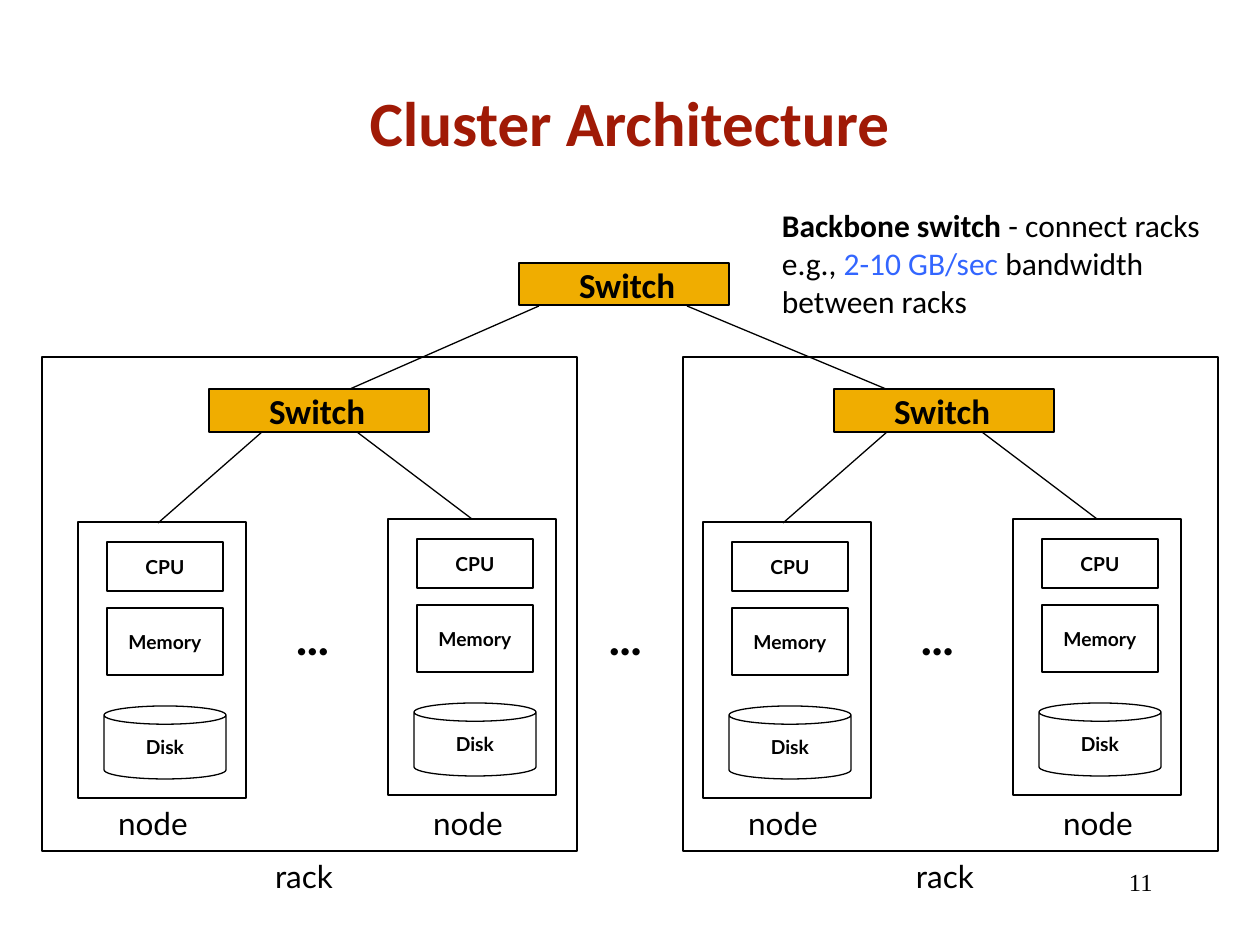
from pptx import Presentation
from pptx.dml.color import RGBColor
from pptx.enum.shapes import MSO_CONNECTOR, MSO_SHAPE
from pptx.enum.text import MSO_ANCHOR as ANCHOR, PP_ALIGN as ALIGN
from pptx.oxml.ns import qn
from pptx.util import Emu, Pt
from lxml.etree import SubElement

# Content
TITLE = "Cluster Architecture"
BACKBONE = [
    [("Backbone switch ", "black", True), ("- connect racks", "black", False)],
    [("e.g., ", "black", False), ("2-10 GB/sec ", "blue", False),
     ("bandwidth between racks", "black", False)],
]
COLORS = {"black": "000000", "red": "A01A06", "blue": "3366FF", "gold": "F0AD00"}
RECT, CAN = MSO_SHAPE.RECTANGLE, MSO_SHAPE.CAN

# Layout in px, 126 to the inch
RACKS = [(42, 262), (683, 903)]         # rack box left, rack label left
RACK_STEP = 625                         # from one rack's contents to the next
NODES = [(78, 522), (388, 519)]         # nodes of the first rack
NODE_LABELS, NODE_LABEL_STEP = 105, 315
PARTS = [                               # inside a node: dx, dy, width, height
    ("Memory", RECT, 29, 86, 116, 67),
    ("CPU", RECT, 29, 20, 116, 49),
    ("Disk", CAN, 26, 184, 122, 73),
]
RACK_LINKS = [(262, 432, 158, 523), (357, 432, 472, 519)]
TOP_LINKS = [(350, 389, 539, 306), (687, 306, 886, 389)]


def px(v):
    return Emu(round(v * 914400 / 126))


def color(name):
    return RGBColor.from_string(COLORS[name])


def write(tf, text, size=18, font="Calibri", fill="black", bold=False,
          align=ALIGN.LEFT, anchor=ANCHOR.TOP, wrap=True, margins=None):
    """Text is a string, or a list of paragraphs of (text, colour, bold) runs."""
    tf.word_wrap, tf.vertical_anchor = wrap, anchor
    if margins is not None:
        tf.margin_left, tf.margin_top, tf.margin_right, tf.margin_bottom = map(px, margins)
    paragraphs = [[(text, fill, bold)]] if isinstance(text, str) else text
    for i, runs in enumerate(paragraphs):
        p = tf.add_paragraph() if i else tf.paragraphs[0]
        p.alignment = align
        for words, c, b in runs:
            r = p.add_run()
            r.text = words
            r.font.name, r.font.size, r.font.bold = font, Pt(size), b
            r.font.color.rgb = color(c)


def label(text, x, y, w, h, **fmt):
    write(s.shapes.add_textbox(px(x), px(y), px(w), px(h)).text_frame, text, **fmt)


def box(kind, x, y, w, h, fill=None):
    sp = s.shapes.add_shape(kind, px(x), px(y), px(w), px(h))
    sp.shadow.inherit = False
    if fill:
        sp.fill.solid()
        sp.fill.fore_color.rgb = color(fill)
    else:
        sp.fill.background()
    sp.line.color.rgb = color("black")
    sp.line.width = Pt(0.75)
    return sp


def link(x1, y1, x2, y2):
    c = s.shapes.add_connector(MSO_CONNECTOR.STRAIGHT, px(x1), px(y1), px(x2), px(y2))
    c.line.color.rgb = color("black")
    c.line.width = Pt(0.75)
    SubElement(c._element.spPr, qn("a:effectLst"))


def switch(x, y, w, h):
    write(box(RECT, x, y, w, h, "gold").text_frame, "Switch", size=20, bold=True,
          margins=(60, 0, 0, 0))


def dots(x):
    label("…", x, 607, 47, 53, size=28, bold=True, margins=(1, 0, 0, 0))


def node(x, y):
    for text, kind, dx, dy, w, h in PARTS:
        write(box(kind, x + dx, y + dy, w, h).text_frame, text, size=11, font="Lato",
              bold=True, align=ALIGN.CENTER, anchor=ANCHOR.MIDDLE, wrap=False)
    box(RECT, x, y, 168, 276)


prs = Presentation()
prs.slide_width, prs.slide_height = px(1260), px(945)
s = prs.slides.add_slide(prs.slide_layouts[5])

# Title
title = s.shapes.title
title.left, title.top, title.width, title.height = px(94), px(42), px(1071), px(158)
write(title.text_frame, TITLE, size=36, fill="red", bold=True,
      align=ALIGN.CENTER, anchor=ANCHOR.MIDDLE)

# Racks with their switches, nodes and labels
for i, (rack_x, rack_label_x) in enumerate(RACKS):
    shift = i * RACK_STEP
    dots(294 + shift)
    switch(209 + shift, 389, 220, 43)
    for x1, y1, x2, y2 in RACK_LINKS:
        link(x1 + shift, y1, x2 + shift, y2)
    for j, (x, y) in enumerate(NODES):
        node(x + shift, y)
        label("node", NODE_LABELS + (2 * i + j) * NODE_LABEL_STEP, 798, 104, 50,
              font="Lato", margins=(13, 6, 0, 6))
    box(RECT, rack_x, 357, 535, 494)
    label("rack", rack_label_x, 851, 92, 50, font="Lato", margins=(13, 6, 0, 6))

# Backbone switch joining the racks
switch(519, 263, 210, 42)
for ends in TOP_LINKS:
    link(*ends)
dots(607)
label(BACKBONE, 780, 206, 456, 115, margins=(2, 0, 0, 0))

# Slide number
label("11", 903, 861, 262, 63, size=14, font="Times New Roman", align=ALIGN.RIGHT)

prs.save("out.pptx")
